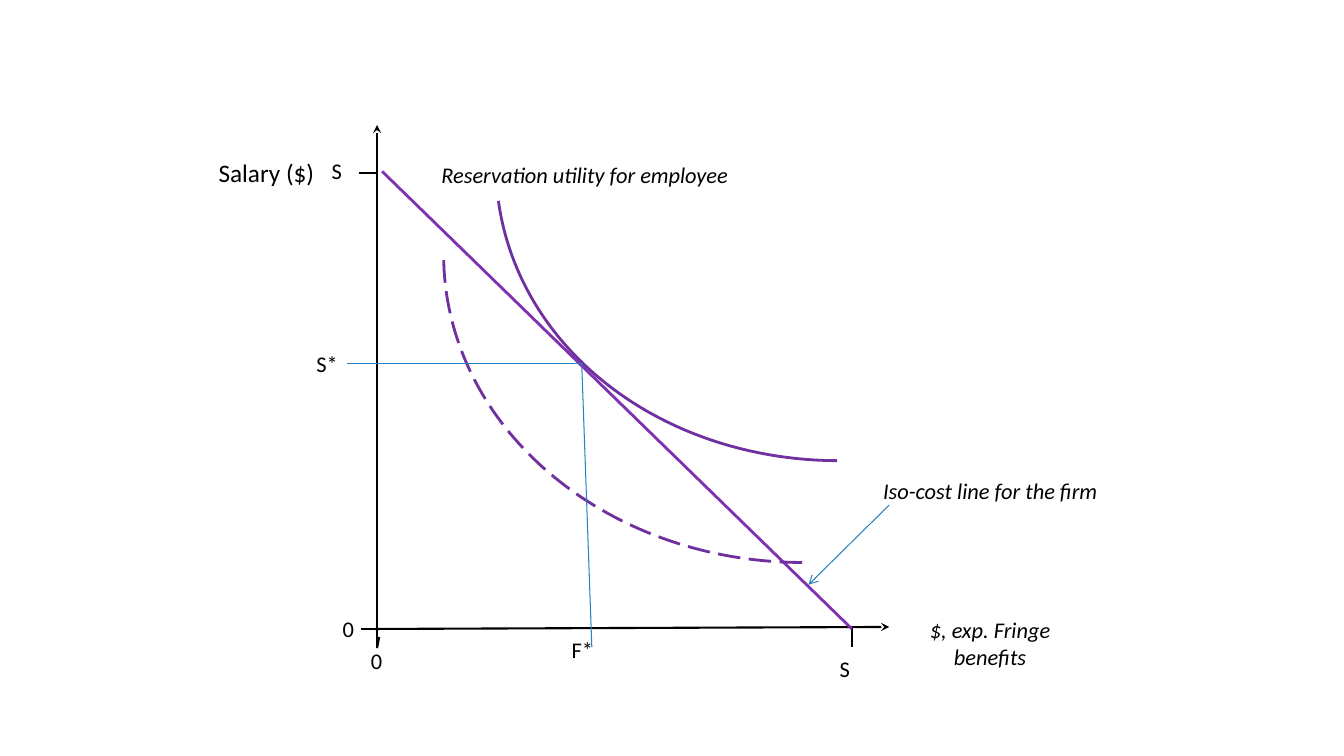
import pptx
import pptx.dml.color
import pptx.enum.dml
import pptx.enum.shapes
import pptx.enum.text
import pptx.oxml.xmlchemy
import pptx.util
from lxml import etree
from pptx.oxml.ns import qn

EMU_PER_PX = 9144  # 100 px to the inch
FONT = "Calibri"
COLORS = {
    "ink": "000000",
    "iso_cost": "7E32B0",
    "utility": "7030A0",
    "guide": "2683BF",
}


def px(length):
    return pptx.util.Emu(length * EMU_PER_PX)


def color(name):
    return pptx.dml.color.RGBColor.from_string(COLORS[name])


def add_text(slide, text, left, top, width, height, size=16, italic=False, centered=False):
    shape = slide.shapes.add_textbox(px(left), px(top), px(width), px(height))
    frame = shape.text_frame
    frame.word_wrap = True
    frame.auto_size = pptx.enum.text.MSO_AUTO_SIZE.SHAPE_TO_FIT_TEXT
    paragraph = frame.paragraphs[0]
    if centered:
        paragraph.alignment = pptx.enum.text.PP_ALIGN.CENTER
    run = paragraph.add_run()
    run.text = text
    run.font.name = FONT
    run.font.size = pptx.util.Pt(size)
    run.font.italic = italic
    run.font.color.rgb = color("ink")


def add_line(slide, start, end, color_name="ink", weight=1.5, arrow=None):
    """Draw a straight line; arrow names the arrowhead type at its end."""
    connector = slide.shapes.add_connector(
        pptx.enum.shapes.MSO_CONNECTOR.STRAIGHT, *map(px, start + end)
    )
    connector.line.color.rgb = color(color_name)
    connector.line.width = pptx.util.Pt(weight)
    if arrow:
        line_element = connector.line._get_or_add_ln()
        etree.SubElement(line_element, qn("a:tailEnd"), type=arrow)
    etree.SubElement(connector._element.spPr, qn("a:effectLst"))


def add_utility_curve(slide, left, top, rotation, start_angle=162, dash=None):
    """Draw an indifference curve; start_angle is in units of 100000/60000 degrees."""
    shape = slide.shapes.add_shape(
        pptx.enum.shapes.MSO_SHAPE.ARC, px(left), px(top), px(711), px(610)
    )
    shape.shadow.inherit = False
    shape.rotation = rotation
    shape.adjustments[0] = start_angle
    shape.adjustments[1] = 0
    shape.fill.background()
    shape.line.color.rgb = color("utility")
    shape.line.width = pptx.util.Pt(2)
    if dash:
        shape.line.dash_style = dash


def add_axes(slide):
    add_line(slide, (374, 642), (374, 124), arrow="stealth")
    add_line(slide, (372, 624), (882, 622), arrow="stealth")
    ticks = [
        ((374, 643), (376, 632)),
        ((358, 624), (376, 624)),
        ((845, 622), (845, 642)),
        ((356, 172), (374, 172)),
    ]
    for start, end in ticks:
        add_line(slide, start, end)

    add_text(slide, "Salary ($)", 207, 151, 137, 40, size=18)
    add_text(slide, "$, exp. Fringe benefits", 897, 606, 170, 64, italic=True, centered=True)
    tick_labels = [
        ("0", 358, 637, 43),
        ("0", 330, 605, 28),
        ("S", 823, 645, 43),
        ("S", 319, 151, 61),
    ]
    for text, left, top, width in tick_labels:
        add_text(slide, text, left, top, width, 37)


def add_curves(slide):
    add_line(slide, (379, 170), (845, 624), "iso_cost", 2)
    add_utility_curve(slide, 491, -154, 172.2, start_angle=168.514)
    add_utility_curve(slide, 440, -52, 180, dash=pptx.enum.dml.MSO_LINE.LONG_DASH)
    add_text(slide, "Reservation utility for employee", 428, 155, 399, 37, italic=True)
    add_text(slide, "Iso-cost line for the firm", 866, 468, 399, 37, italic=True)
    add_line(slide, (882, 501), (802, 580), "guide", 0.75, arrow="arrow")


def add_optimum(slide):
    tangency = (577, 361)
    add_line(slide, tangency, (344, 361), "guide", 0.75)
    add_line(slide, tangency, (587, 642), "guide", 0.75)
    add_text(slide, "S*", 304, 342, 61, 37)
    add_text(slide, "F*", 557, 626, 61, 37)


def main():
    presentation = pptx.Presentation()
    presentation.slide_width = px(1333)
    presentation.slide_height = px(750)
    slide = presentation.slides.add_slide(presentation.slide_layouts[6])
    add_axes(slide)
    add_curves(slide)
    add_optimum(slide)
    presentation.save("out.pptx")


if __name__ == "__main__":
    main()
